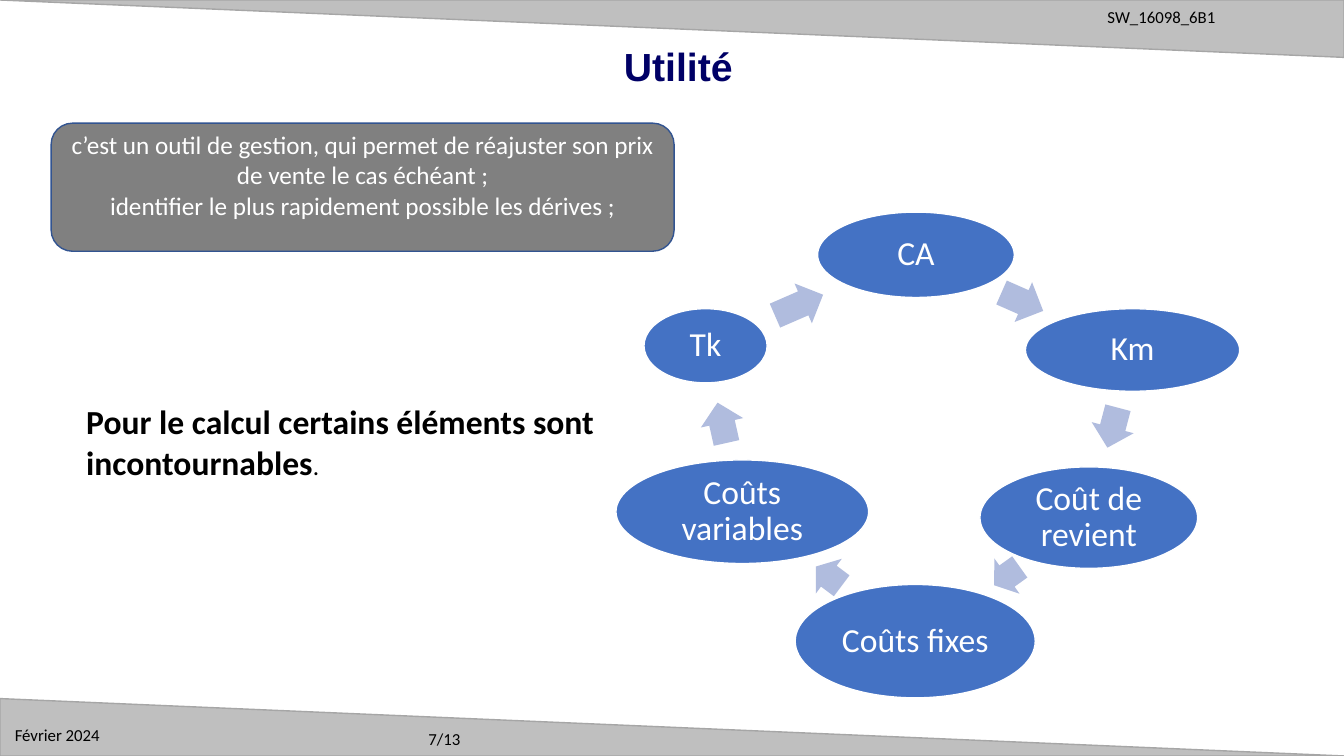
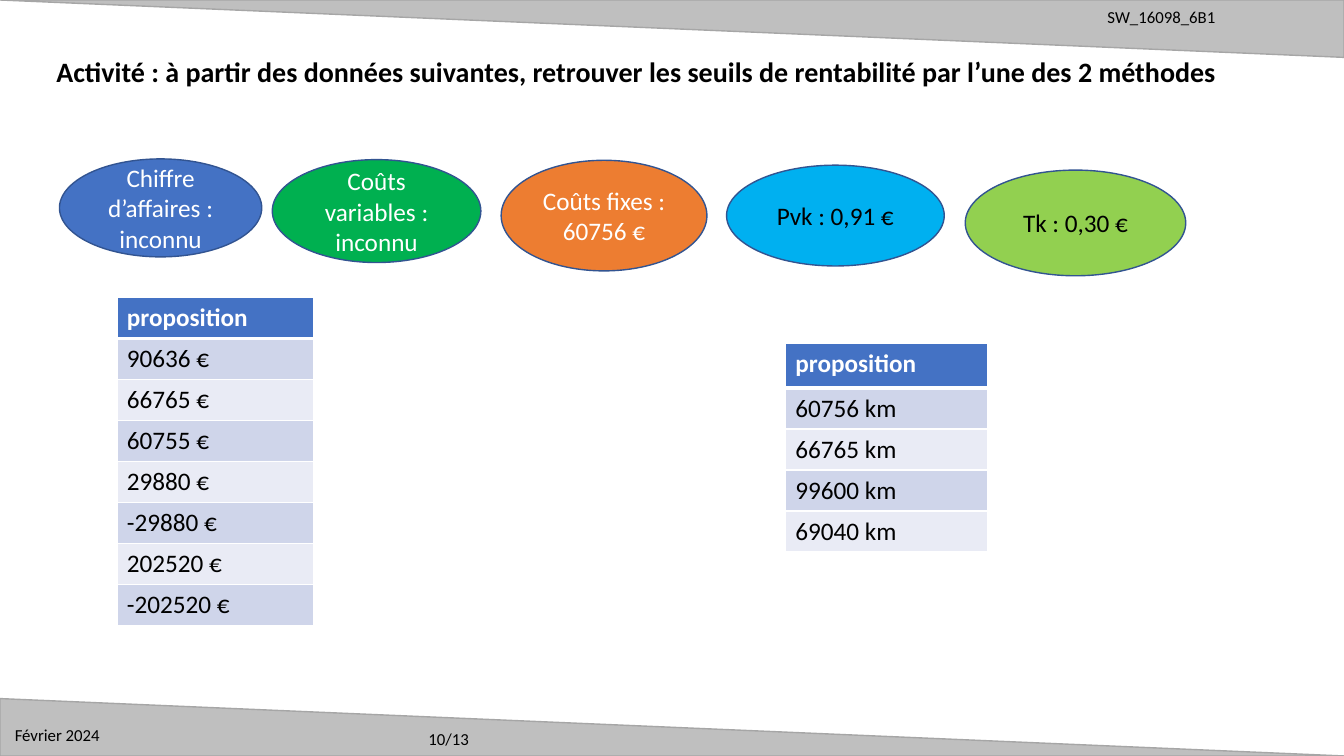
from lxml import etree
from pptx import Presentation
from pptx.dml.color import RGBColor
from pptx.enum.shapes import MSO_SHAPE
from pptx.enum.text import MSO_ANCHOR, MSO_AUTO_SIZE, PP_ALIGN
from pptx.oxml.ns import qn
from pptx.util import Pt

ELLIPSE = MSO_SHAPE.OVAL
TRIANGLE = MSO_SHAPE.ISOSCELES_TRIANGLE
ARROW = MSO_SHAPE.RIGHT_ARROW
ROUNDED = MSO_SHAPE.ROUNDED_RECTANGLE
LEFT, CENTER = PP_ALIGN.LEFT, PP_ALIGN.CENTER
TOP, MIDDLE = MSO_ANCHOR.TOP, MSO_ANCHOR.MIDDLE
NO_FIT = MSO_AUTO_SIZE.NONE

WIDTH, HEIGHT = 960, 540
BAND_HEIGHT = 41
FONT, TITLE_FONT = "Calibri", "Arial"
BLACK, WHITE, NAVY = "000000", "FFFFFF", "000066"
BLUE, OUTLINE, PALE_BLUE = "4472C4", "325491", "B0BCDE"
BAND, BAND_LINE, GREY = "BFBFBF", "A6A6A6", "808080"
ROW_FILLS = ("E9EBF5", "CFD5EA")
ROW_HEIGHT = 29.3

CYCLE_NODES = [
    ("CA", (584, 151.5, 140.5, 61)),
    ("Km", (732.5, 220.5, 153, 59)),
    ("Coût de revient", (700, 333.5, 155.5, 72.5)),
    ("Coûts fixes", (568, 417.5, 171.5, 81)),
    ("Coûts variables", (440, 328.5, 180.5, 74)),
    ("Tk", (460, 220.5, 88, 53)),
]
CYCLE_ARROWS = [
    (714, 200, 32.5, 23.8),
    (780, 290, 29.5, 104.8),
    (708, 396, 22.5, 144.4),
    (580.5, 396, 23, 216.8),
    (501, 286.5, 29.5, 257.4),
    (552, 202.5, 37.5, 336.5),
]
ARROW_HEIGHT = 31

GIVEN_VALUES = [
    ("Chiffre d’affaires : inconnu", BLUE, WHITE, (42.5, 113.5, 144.5, 70)),
    ("Coûts variables : inconnu", "00B050", WHITE, (194.5, 114, 149, 73.5)),
    ("Coûts fixes : 60756 €", "ED7D31", WHITE, (358, 114.5, 147, 79)),
    ("Pvk : 0,91 €", "00B0F0", BLACK, (519, 118, 155.5, 72)),
    ("Tk : 0,30 €", "92D050", BLACK, (689.5, 121.5, 157.5, 75.5)),
]
EURO_CHOICES = ["90636 €", "66765 €", "60755 €", "29880 €", "-29880 €",
                "202520 €", "-202520 €"]
KM_CHOICES = ["60756 km", "66765 km", "99600 km", "69040 km"]


def rgb(value):
    return RGBColor.from_string(value)


def points(lengths):
    return [Pt(length) for length in lengths]


def format_span(span, size, color, bold=False, font=FONT):
    span.font.name = font
    span.font.size = Pt(size)
    span.font.bold = bold
    span.font.color.rgb = rgb(color)


def set_text(frame, text, size, color, align=LEFT, bold=False, font=FONT):
    frame.text = text
    for para in frame.paragraphs:
        para.alignment = align
        for span in para.runs:
            format_span(span, size, color, bold, font)


def add_title(slide, text, area, size, color, align, font=FONT):
    title = slide.shapes.title
    title.left, title.top, title.width, title.height = points(area)
    frame = title.text_frame
    frame.word_wrap = True
    frame.auto_size = NO_FIT
    frame.vertical_anchor = TOP
    set_text(frame, text, size, color, align, True, font)


def add_label(slide, text, area, size=12, bold=False):
    box = slide.shapes.add_textbox(*points(area))
    box.text_frame.word_wrap = True
    set_text(box.text_frame, text, size, BLACK, bold=bold)
    return box


def add_figure(slide, kind, area, fill, line=None, rotation=0):
    figure = slide.shapes.add_shape(kind, *points(area))
    figure.shadow.inherit = False
    figure.rotation = rotation
    figure.fill.solid()
    figure.fill.fore_color.rgb = rgb(fill)
    if line:
        figure.line.color.rgb = rgb(line)
        figure.line.width = Pt(1)
    else:
        figure.line.fill.background()
    return figure


def add_band(slide, top, rotation):
    band = add_figure(slide, TRIANGLE, (0, top, WIDTH, BAND_HEIGHT),
                      BAND, BAND_LINE, rotation)
    band.adjustments[0] = 0
    return band


def decorate_layout(layout, slide):
    for holder in list(layout.placeholders):
        if holder.placeholder_format.idx:
            layout.shapes.element.remove(holder.element)
    shared = [
        add_band(slide, 0, 180),
        add_band(slide, HEIGHT - BAND_HEIGHT, 0),
        add_label(slide, "SW_16098_6B1", (784, 1.5, 172, 22)),
        add_label(slide, "Février 2024", (3.5, 514, 99.5, 22)),
    ]
    for part in shared:
        layout.shapes.element.append(part.element)


def add_page_number(slide, number):
    add_label(slide, f"{number}/13", (299, 517, 100, 22))


def add_cycle(slide):
    for text, area in CYCLE_NODES:
        node = add_figure(slide, ELLIPSE, area, BLUE, WHITE)
        frame = node.text_frame
        frame.word_wrap = True
        frame.margin_left = frame.margin_right = Pt(2)
        frame.margin_top = frame.margin_bottom = Pt(2)
        set_text(frame, text, 24, WHITE, CENTER)
        frame.paragraphs[0].line_spacing = 0.9
    for left, top, width, rotation in CYCLE_ARROWS:
        arrow = add_figure(slide, ARROW, (left, top, width, ARROW_HEIGHT),
                           PALE_BLUE, rotation=rotation)
        arrow.adjustments[0] = 0.6
        arrow.adjustments[1] = 0.5


def set_borders(cell, row):
    properties = cell._tc.get_or_add_tcPr()
    widths = {"L": 1, "R": 1, "T": 3 if row == 1 else 1,
              "B": 3 if row == 0 else 1}
    for side, width in widths.items():
        line = etree.SubElement(properties, qn(f"a:ln{side}"), w=str(Pt(width)))
        fill = etree.SubElement(line, qn("a:solidFill"))
        etree.SubElement(fill, qn("a:srgbClr"), val=WHITE)


def add_choices(slide, left, top, width, choices, header_height=ROW_HEIGHT):
    texts = ["proposition", *choices]
    height = header_height + ROW_HEIGHT * len(choices)
    table = slide.shapes.add_table(
        len(texts), 1, *points((left, top, width, height))).table
    for row, text in enumerate(texts):
        header = row == 0
        table.rows[row].height = Pt(header_height if header else ROW_HEIGHT)
        cell = table.cell(row, 0)
        set_borders(cell, row)
        cell.fill.solid()
        cell.fill.fore_color.rgb = rgb(BLUE if header else ROW_FILLS[row % 2])
        set_text(cell.text_frame, text, 18, WHITE if header else BLACK,
                 bold=header)


def fill_purpose_slide(slide):
    add_title(slide, "Utilité", (160.5, 26.5, 648, 57), 28, NAVY, CENTER,
              TITLE_FONT)
    panel = add_figure(slide, ROUNDED, (36.5, 88, 445, 91.5), GREY, OUTLINE)
    frame = panel.text_frame
    frame.word_wrap = True
    frame.vertical_anchor = TOP
    frame.margin_top = 0
    set_text(frame,
             "c’est un outil de gestion, qui permet de réajuster son prix\v"
             "de vente le cas échéant ;\n"
             "identifier le plus rapidement possible les dérives ;",
             18, WHITE, CENTER)
    add_cycle(slide)
    note = add_label(
        slide, "Pour le calcul certains éléments sont incontournables",
        (54.5, 283, 409, 65.5), 24, True)
    period = note.text_frame.paragraphs[0].add_run()
    period.text = "."
    format_span(period, 18, BLACK)
    add_page_number(slide, 7)


def fill_activity_slide(slide):
    add_title(slide,
              "Activité : à partir des données suivantes, retrouver les seuils "
              "de rentabilité par l’une des 2 méthodes",
              (33, 35.5, 898.5, 31.5), 20, BLACK, LEFT)
    for text, fill, color, area in GIVEN_VALUES:
        value = add_figure(slide, ELLIPSE, area, fill, OUTLINE)
        value.text_frame.word_wrap = True
        value.text_frame.vertical_anchor = MIDDLE
        set_text(value.text_frame, text, 18, color, CENTER)
    add_choices(slide, 83.5, 212.5, 140.5, EURO_CHOICES)
    add_choices(slide, 561, 245, 144.5, KM_CHOICES, 32.2)
    add_page_number(slide, 10)


def main():
    deck = Presentation()
    deck.slide_width, deck.slide_height = Pt(WIDTH), Pt(HEIGHT)
    layout = deck.slide_layouts[5]
    purpose = deck.slides.add_slide(layout)
    decorate_layout(layout, purpose)
    fill_purpose_slide(purpose)
    fill_activity_slide(deck.slides.add_slide(layout))
    deck.save("out.pptx")


if __name__ == "__main__":
    main()
